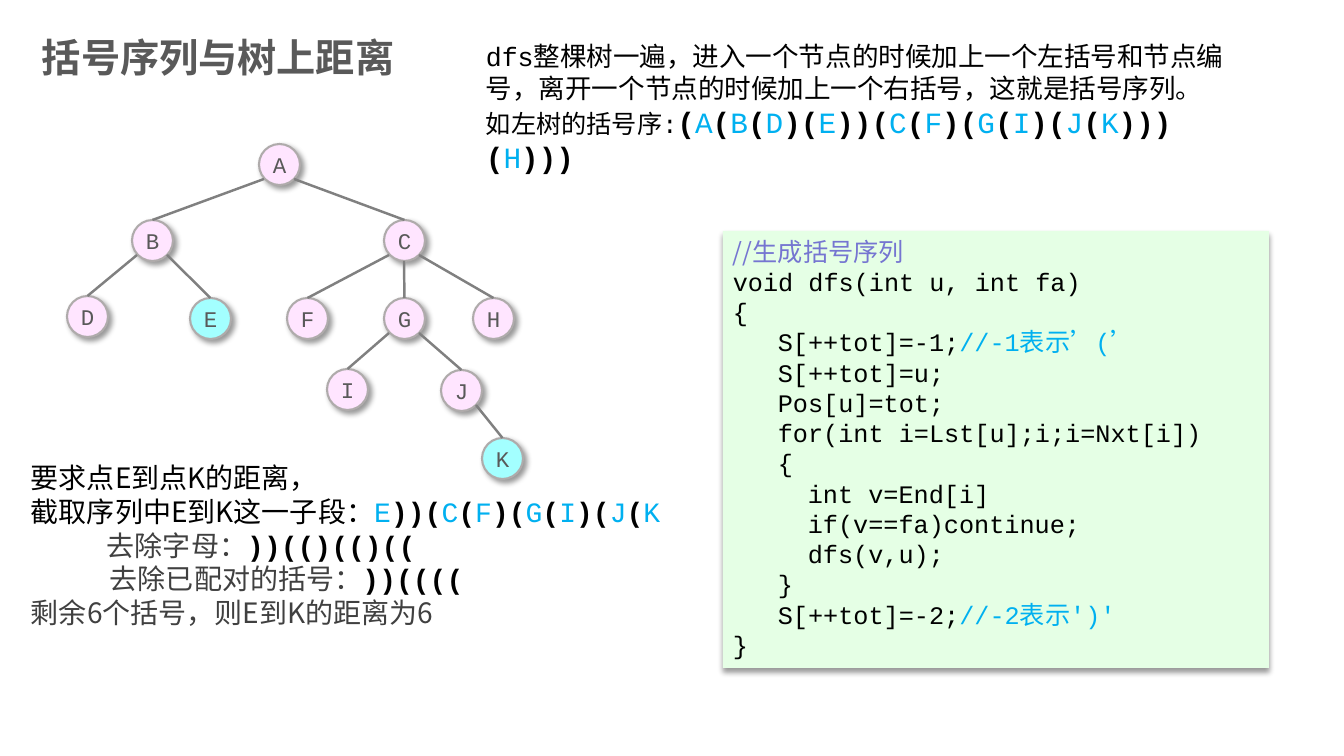
from itertools import groupby
from lxml import etree
from pptx import Presentation
from pptx.dml.color import RGBColor
from pptx.enum.shapes import MSO_CONNECTOR, MSO_SHAPE
from pptx.enum.text import MSO_ANCHOR, PP_ALIGN
from pptx.oxml import parse_xml
from pptx.oxml.ns import nsdecls, qn
from pptx.util import Pt

PX = 12192000 / 1344
MONO, SANS = "Courier New", "Noto Sans CJK SC"
COLORS = {
    "black": "000000", "title": "595959", "grey": "404040", "blue": "00B0F0",
    "comment": "7575D1", "code": "E5FFE5", "node": "FFE5FF",
    "endpoint": "A3FFFF", "outline": "AFABAB", "edge": "808080",
}


def px(*lengths):
    return [round(length * PX) for length in lengths]


def color(name):
    return RGBColor.from_string(COLORS[name])


prs = Presentation()
prs.slide_width, prs.slide_height = px(1344, 756)
slide = prs.slides.add_slide(prs.slide_layouts[6])
shapes = slide.shapes


def write(frame, lines, wrap=True):
    frame.word_wrap = wrap
    for number, (indent, runs) in enumerate(lines):
        line = frame.paragraphs[0] if number == 0 else frame.add_paragraph()
        line.alignment = PP_ALIGN.LEFT
        line.line_spacing = Pt(round(max(run[1] for run in runs) * 1.2, 1))
        if indent:
            line._p.get_or_add_pPr().set("marL", str(px(indent)[0]))
        for words, size, font, tone, bold in runs:
            run = line.add_run()
            run.text = words
            run.font.size, run.font.name, run.font.bold = Pt(size), font, bold
            run.font.color.rgb = color(tone)
            etree.SubElement(run._r.get_or_add_rPr(), qn("a:ea"), typeface=SANS)


bracket_runs = {}
for sequence, size in [("(A(B(D)(E))(C(F)(G(I)(J(K)))(H)))", 21),
                       ("E))(C(F)(G(I)(J(K", 20), ("))(()(()((", 20), ("))((((", 20)]:
    bracket_runs[sequence] = [
        ("".join(part), size, MONO, "blue" if letter else "black", not letter)
        for letter, part in groupby(sequence, str.isalpha)]
full, section, brackets, unmatched = bracket_runs.values()

code = shapes.add_shape(MSO_SHAPE.RECTANGLE, *px(723, 231, 546, 437))
code.fill.solid()
code.fill.fore_color.rgb = color("code")
code.line.fill.background()
code.text_frame.vertical_anchor = MSO_ANCHOR.TOP
code_lines = [
    (0, "", "//生成括号序列"), (0, "void dfs(int u, int fa)", ""), (0, "{", ""),
    (3, "S[++tot]=-1;", "//-1表示’(’"), (3, "S[++tot]=u;", ""),
    (3, "Pos[u]=tot;", ""), (3, "for(int i=Lst[u];i;i=Nxt[i])", ""), (3, "{", ""),
    (5, "int v=End[i]", ""), (5, "if(v==fa)continue;", ""), (5, "dfs(v,u);", ""),
    (3, "}", ""), (3, "S[++tot]=-2;", "//-2表示')'"), (0, "}", ""),
]
code_rows = []
for columns, statement, remark in code_lines:
    runs = []
    if statement:
        runs.append((statement, 18, MONO, "black", False))
    if remark:
        style = (MONO, "blue") if statement else (SANS, "comment")
        runs.append((remark, 18, *style, False))
    code_rows.append((columns * 15, runs))
write(code.text_frame, code_rows)

title = shapes.add_textbox(*px(32, 28, 393, 58))
write(title.text_frame, [(0, [("括号序列与树上距离", 28, MONO, "title", True)])])

nodes = {}
for letter, left, top in [
    ("A", 259, 144), ("B", 132, 220), ("C", 384, 220), ("D", 67, 296),
    ("E", 190, 298), ("F", 287, 298), ("G", 384, 298), ("H", 473, 298),
    ("I", 327, 369), ("J", 441, 370), ("K", 482, 438),
]:
    node = shapes.add_shape(MSO_SHAPE.OVAL, *px(left, top, 41, 41))
    node.fill.solid()
    node.fill.fore_color.rgb = color("endpoint" if letter in "EK" else "node")
    node.line.color.rgb = color("outline")
    node.line.width = Pt(1.5)
    node.text_frame.vertical_anchor = MSO_ANCHOR.MIDDLE
    write(node.text_frame, [(0, [(letter, 16, MONO, "title", False)])], wrap=False)
    node.text_frame.paragraphs[0].alignment = PP_ALIGN.CENTER
    nodes[letter] = (node, left, top)

for shape, angle in [(code, 90)] + [(node, 45) for node, _, _ in nodes.values()]:
    shape._element.spPr.append(parse_xml(
        f'<a:effectLst {nsdecls("a")}><a:outerShdw blurRad="50800" dist="38100" '
        f'dir="{angle * 60000}" algn="t" rotWithShape="0"><a:srgbClr val="{COLORS["black"]}">'
        '<a:alpha val="40000"/></a:srgbClr></a:outerShdw></a:effectLst>'))

for parent, children in {"A": "BC", "B": "DE", "C": "FGH", "G": "IJ", "J": "K"}.items():
    _, left, top = nodes[parent]
    for child in children:
        child_node, child_left, child_top = nodes[child]
        side = (child_left > left) - (child_left < left)
        edge = shapes.add_connector(MSO_CONNECTOR.STRAIGHT, *px(
            left + 20 + side * 15, top + (35 if side else 41),
            child_left + 20, child_top))
        edge.end_connect(child_node, 0)
        edge.line.color.rgb = color("edge")
        edge.line.width = Pt(1.75)
        etree.SubElement(edge._element.spPr, qn("a:effectLst"))

explanation = shapes.add_textbox(*px(476, 35, 781, 150))
write(explanation.text_frame, [
    (0, [("dfs整棵树一遍，进入一个节点的时候加上一个左括号和节点编号，"
          "离开一个节点的时候加上一个右括号，这就是括号序列。", 19, MONO, "black", False)]),
    (0, [("如左树的括号序:", 18, MONO, "black", False)] + full),
])

distance = shapes.add_textbox(*px(21, 456, 722, 179))
write(distance.text_frame, [
    (0, [("要求点E到点K的距离，", 20, SANS, "black", False)]),
    (0, [("截取序列中E到K这一子段：", 20, SANS, "black", False)] + section),
    (76, [("去除字母：", 20, SANS, "grey", False)] + brackets),
    (0, [("剩余6个括号，则E到K的距离为6", 20, SANS, "grey", False)]),
])
distance.text_frame.paragraphs[-1].space_before = Pt(24)

matching = shapes.add_textbox(*px(100, 557, 668, 44))
write(matching.text_frame, [
    (0, [("去除已配对的括号：", 20, SANS, "grey", False)] + unmatched)])

prs.save("out.pptx")
